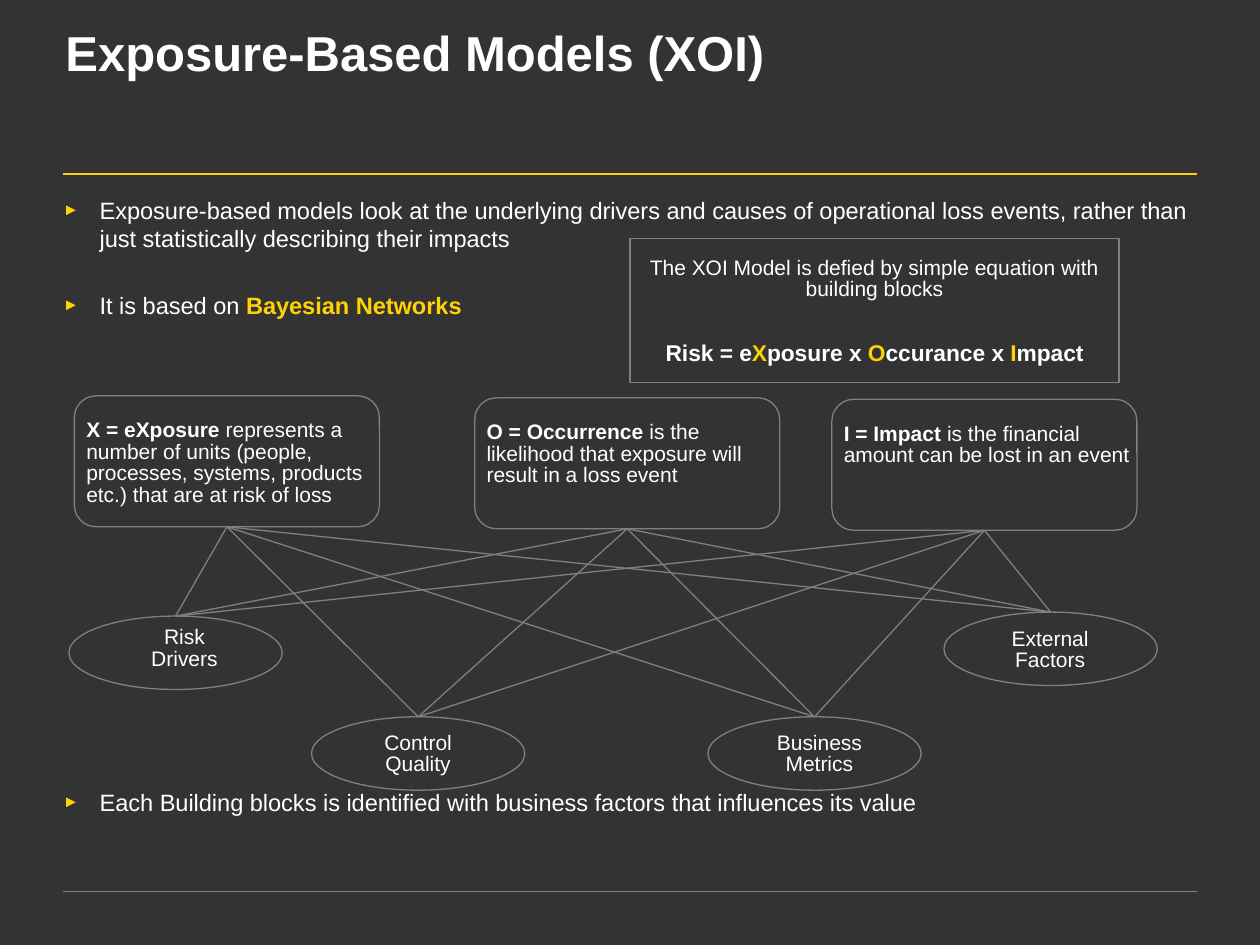
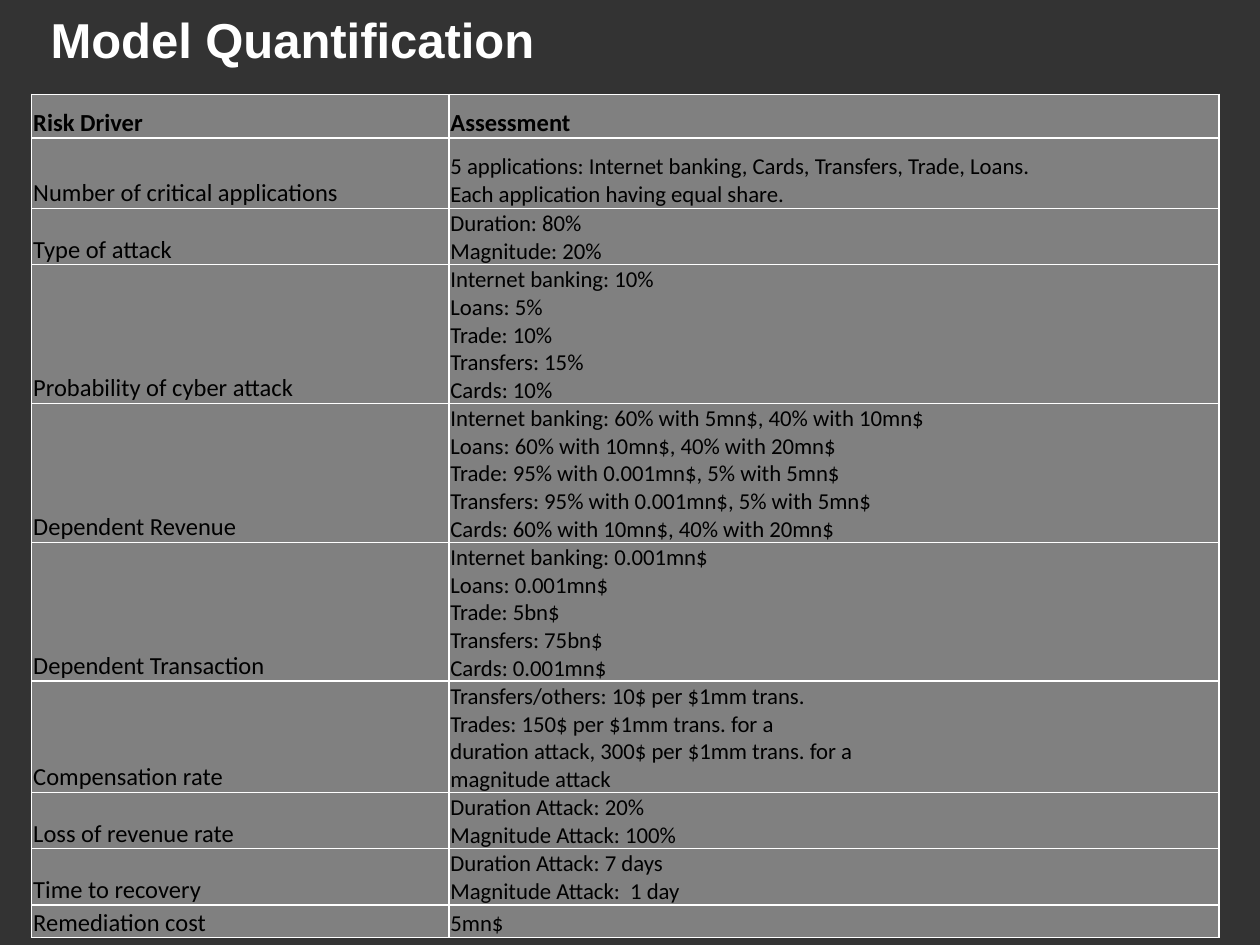
from lxml.etree import SubElement
from pptx import Presentation
from pptx.dml.color import RGBColor
from pptx.enum.shapes import MSO_CONNECTOR, MSO_SHAPE
from pptx.enum.text import MSO_ANCHOR, PP_ALIGN
from pptx.oxml.ns import qn
from pptx.util import Cm, Pt

BACKGROUND = RGBColor(0x33, 0x33, 0x33)
GOLD = RGBColor(0xFF, 0xD2, 0x00)
GREY = RGBColor(0x80, 0x80, 0x80)
WHITE = RGBColor(0xFF, 0xFF, 0xFF)
BLACK = RGBColor(0x00, 0x00, 0x00)

PLAIN = (WHITE, False)
BOLD = (WHITE, True)
KEY = (GOLD, True)

RULES = [(3.51, GOLD, 1.5), (17.96, GREY, 0.25)]

BULLETS = [
    (2.7, [("Exposure-based models look at the underlying drivers and causes of operational "
            "loss events, rather than just statistically describing their impacts", PLAIN)]),
    (22, [("It is based on ", PLAIN), ("Bayesian Networks", KEY)]),
    (268, [("Each Building blocks is identified with business factors that influences "
            "its value", PLAIN)]),
]

EQUATION_INTRO = "The XOI Model is defied by simple equation with building blocks"
EQUATION = [("Risk = e", BOLD), ("X", KEY), ("posure x ", BOLD), ("O", KEY),
            ("ccurance x ", BOLD), ("I", KEY), ("mpact", BOLD)]

BLOCK_SIZE = (6.15, 2.64)
BLOCKS = [
    (1.5, 7.98, "X = eXposure", " represents a number of units (people, processes, systems, "
                                "products etc.) that are at risk of loss"),
    (9.57, 8.02, "O = Occurrence ", "is the likelihood that exposure will result in a loss event"),
    (16.77, 8.05, "I = Impact ", "is the financial amount can be lost in an event"),
]

FACTOR_SIZE = (4.3, 1.48)
FACTORS = [
    ("Risk Drivers", (1.39, 12.42), (2.92, 12.55, 1.6)),
    ("Control Quality", (6.28, 14.45), (7.63, 14.68, 1.6)),
    ("Business Metrics", (14.27, 14.45), (15.62, 14.68, 1.8)),
    ("External Factors", (19.03, 12.34), (20.37, 12.58, 1.6)),
]

ASSESSMENTS = [
    ("Risk Driver", ["Assessment"]),
    ("Number of critical applications", [
        "5 applications: Internet banking, Cards, Transfers, Trade, Loans.",
        "Each application having equal share."]),
    ("Type of attack", ["Duration: 80%", "Magnitude: 20%"]),
    ("Probability of cyber attack", [
        "Internet banking: 10%", "Loans: 5%", "Trade: 10%", "Transfers: 15%", "Cards: 10%"]),
    ("Dependent Revenue", [
        "Internet banking: 60% with 5mn$, 40% with 10mn$",
        "Loans: 60% with 10mn$, 40% with 20mn$",
        "Trade: 95% with 0.001mn$, 5% with 5mn$",
        "Transfers: 95% with 0.001mn$, 5% with 5mn$",
        "Cards: 60% with 10mn$, 40% with 20mn$"]),
    ("Dependent Transaction", [
        "Internet banking: 0.001mn$", "Loans: 0.001mn$", "Trade: 5bn$",
        "Transfers: 75bn$", "Cards: 0.001mn$"]),
    ("Compensation rate", [
        "Transfers/others: 10$ per $1mm trans.",
        "Trades: 150$ per $1mm trans. for a ",
        "duration attack, 300$ per $1mm trans. for a ",
        "magnitude attack"]),
    ("Loss of revenue rate", ["Duration Attack: 20%", "Magnitude Attack: 100%"]),
    ("Time to recovery", ["Duration Attack: 7 days", "Magnitude Attack:  1 day"]),
    ("Remediation cost", ["5mn$"]),
]
COLUMN_WIDTHS = (8.41, 15.52)
LINE_HEIGHT = 0.56
ROW_PADDING = {0: 0.32, 1: 0.3, 9: 0.1}


def set_font(paragraph, name, size, color, bold=False):
    font = paragraph.font
    font.name, font.size, font.bold = name, Pt(size), bold
    font.color.rgb = color


def write_spans(paragraph, spans, size):
    set_font(paragraph, "Arial", size, WHITE)
    for text, (color, bold) in spans:
        span = paragraph.add_run()
        span.text = text
        if color != WHITE:
            span.font.color.rgb = color
        if bold:
            span.font.bold = True


def add_text_frame(page, left, top, width, height, inset=0.1):
    frame = page.shapes.add_textbox(Cm(left), Cm(top), Cm(width), Cm(height)).text_frame
    frame.word_wrap = True
    frame.margin_left = frame.margin_right = frame.margin_bottom = 0
    frame.margin_top = Cm(inset)
    return frame


def write_label(paragraph, spans, size=12, align=PP_ALIGN.LEFT, after=6):
    paragraph.alignment = align
    paragraph.line_spacing = 0.85
    paragraph.space_after = Pt(after)
    write_spans(paragraph, spans, size)


def add_outline(page, kind, left, top, width, height):
    shape = page.shapes.add_shape(kind, Cm(left), Cm(top), Cm(width), Cm(height))
    shape.shadow.inherit = False
    shape.fill.background()
    shape.line.color.rgb = GREY
    shape.line.width = Pt(0.75)
    return shape


def add_line(page, start, end, color, width):
    line = page.shapes.add_connector(
        MSO_CONNECTOR.STRAIGHT, *(Cm(value) for value in (*start, *end)))
    line.line.color.rgb = color
    line.line.width = Pt(width)
    SubElement(line._element.spPr, qn("a:effectLst"))
    return line


def add_page(deck, title, left, top):
    page = deck.slides.add_slide(deck.slide_layouts[6])
    for height, color, width in RULES:
        add_line(page, (1.27, height), (24.13, height), color, width)
    frame = add_text_frame(page, left, top, 23.77, 1.98, inset=0)
    write_label(frame.paragraphs[0], [(title, BOLD)], size=28, after=0)
    return page


def add_bullet(paragraph):
    properties = paragraph._p.get_or_add_pPr()
    properties.set("marL", str(Cm(0.74)))
    properties.set("indent", str(-Cm(0.74)))
    color = SubElement(properties, qn("a:buClr"))
    SubElement(color, qn("a:srgbClr"), val=str(GOLD))
    SubElement(properties, qn("a:buSzPct"), val="70000")
    SubElement(properties, qn("a:buFont"), typeface="Arial")
    SubElement(properties, qn("a:buChar"), char="►")


def add_bullets(page):
    frame = add_text_frame(page, 1.27, 3.94, 22.86, 13.06, inset=0)
    for index, (gap, spans) in enumerate(BULLETS):
        paragraph = frame.add_paragraph() if index else frame.paragraphs[0]
        add_bullet(paragraph)
        paragraph.space_before = Pt(gap)
        write_spans(paragraph, spans, 13.5)


def add_equation(page):
    add_outline(page, MSO_SHAPE.RECTANGLE, 12.7, 4.81, 9.86, 2.9)
    frame = add_text_frame(page, 13.03, 5.11, 9.2, 2.97)
    write_label(frame.paragraphs[0], [(EQUATION_INTRO, PLAIN)], align=PP_ALIGN.CENTER, after=23.7)
    write_label(frame.add_paragraph(), EQUATION, size=13, align=PP_ALIGN.CENTER)


def add_network(page):
    blocks, factors = [], []
    for left, top, term, meaning in BLOCKS:
        blocks.append(add_outline(page, MSO_SHAPE.ROUNDED_RECTANGLE, left, top, *BLOCK_SIZE))
        frame = add_text_frame(page, left + 0.24, top + 0.4, 5.9, 1.85)
        write_label(frame.paragraphs[0], [(term, BOLD), (meaning, PLAIN)])
    for name, place, (left, top, width) in FACTORS:
        factors.append(add_outline(page, MSO_SHAPE.OVAL, *place, *FACTOR_SIZE))
        frame = add_text_frame(page, left, top, width, 0.97)
        write_label(frame.paragraphs[0], [(name, PLAIN)], align=PP_ALIGN.CENTER)
    for block in blocks:
        for factor in factors:
            link = add_line(page, (0, 0), (0, 0), GREY, 0.75)
            link.begin_connect(block, 2)
            link.end_connect(factor, 0)


def style_cell(cell):
    properties = cell._tc.get_or_add_tcPr()
    for side in ("lnL", "lnR", "lnT", "lnB"):
        border = SubElement(properties, qn(f"a:{side}"), w=str(Pt(1)))
        SubElement(SubElement(border, qn("a:solidFill")), qn("a:srgbClr"), val=str(WHITE))
    cell.fill.solid()
    cell.fill.fore_color.rgb = GREY
    cell.vertical_anchor = MSO_ANCHOR.BOTTOM
    cell.margin_left = cell.margin_right = cell.margin_top = Cm(0.03)
    cell.margin_bottom = 0


def add_assessments(page):
    heights = [LINE_HEIGHT * len(lines) + ROW_PADDING.get(row, 0)
               for row, (driver, lines) in enumerate(ASSESSMENTS)]
    table = page.shapes.add_table(
        len(ASSESSMENTS), 2, Cm(0.64), Cm(1.9), Cm(sum(COLUMN_WIDTHS)), Cm(sum(heights))).table
    for column, width in zip(table.columns, COLUMN_WIDTHS):
        column.width = Cm(width)
    for row, (driver, lines) in enumerate(ASSESSMENTS):
        table.rows[row].height = Cm(heights[row])
        for column, text in enumerate((driver, "\n".join(lines))):
            cell = table.cell(row, column)
            style_cell(cell)
            paragraph = cell.text_frame.paragraphs[0]
            paragraph.text = text.replace("\n", "\v")
            size = 13 if row and column else 14
            set_font(paragraph, "Calibri", size, BLACK, bold=row == 0)


def main():
    deck = Presentation()
    deck.slide_width, deck.slide_height = Cm(25.4), Cm(19.05)
    fill = deck.slide_master.background.fill
    fill.solid()
    fill.fore_color.rgb = BACKGROUND

    models = add_page(deck, "Exposure-Based Models (XOI)", 1.32, 0.64)
    add_bullets(models)
    add_equation(models)
    add_network(models)

    quantification = add_page(deck, "Model Quantification", 1.02, 0.38)
    add_assessments(quantification)
    deck.save("out.pptx")


if __name__ == "__main__":
    main()
